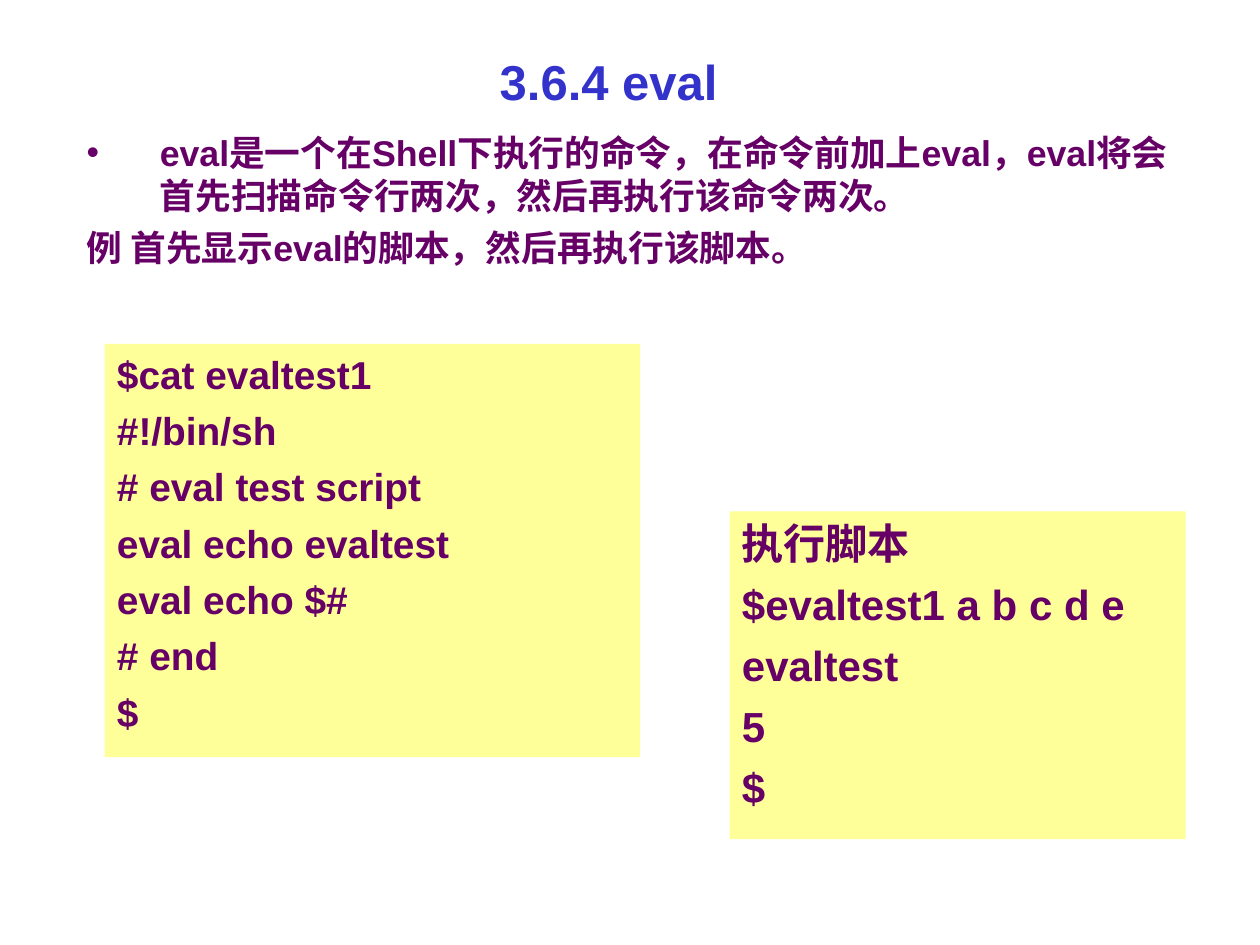
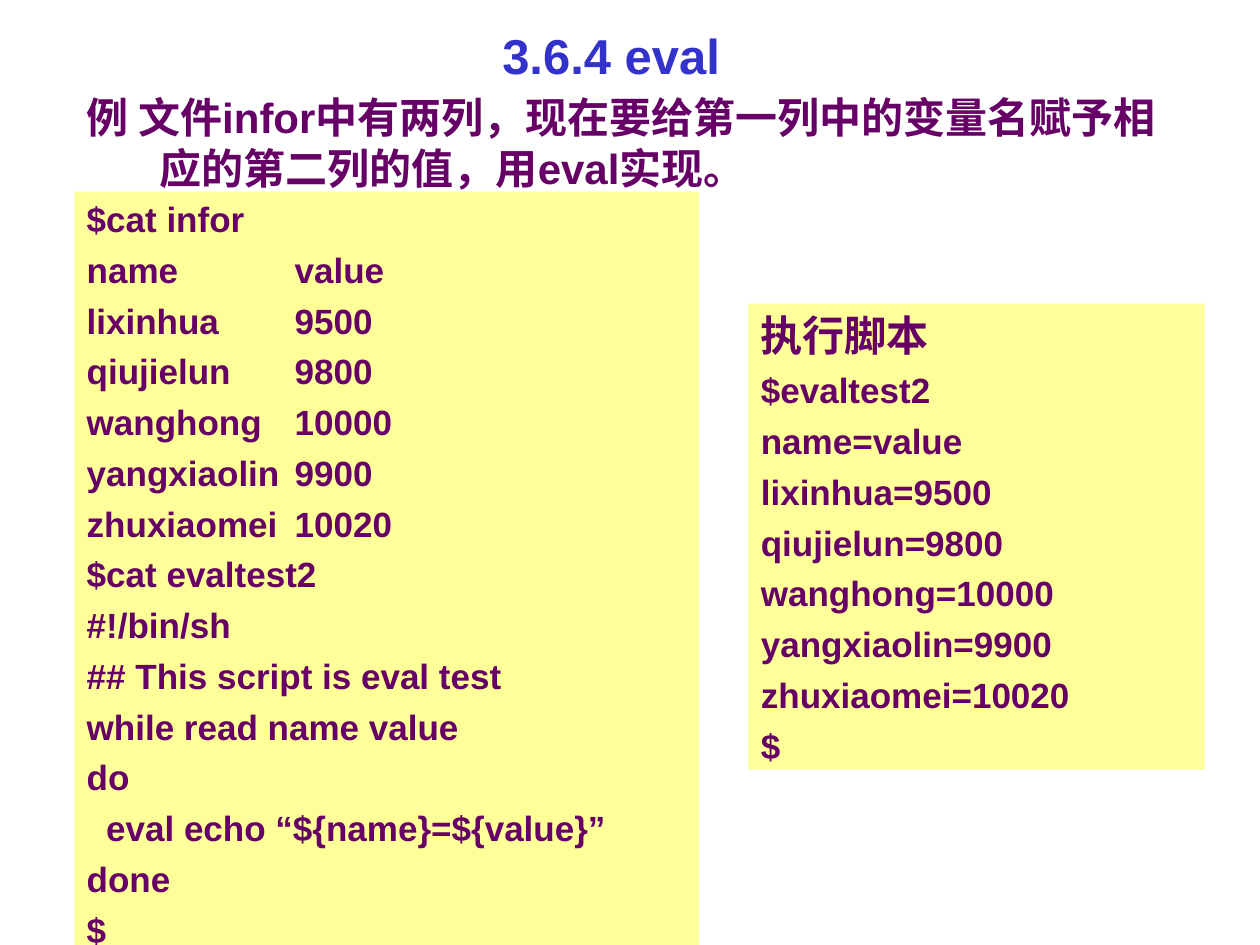
"""Build two slides on the shell command eval."""
from lxml.etree import SubElement
from pptx import Presentation
from pptx.dml.color import RGBColor
from pptx.enum.shapes import MSO_SHAPE
from pptx.enum.text import MSO_ANCHOR, MSO_AUTO_SIZE, PP_ALIGN
from pptx.oxml.ns import qn
from pptx.util import Inches, Pt

TITLE_BLUE = RGBColor(0x33, 0x33, 0xCC)
TEXT_PURPLE = RGBColor(0x66, 0x00, 0x66)
CODE_YELLOW = RGBColor(0xFF, 0xFF, 0x99)
FONT = "Arial"
TITLE = "3.6.4 eval"
TITLE_SIZE = 28
TITLE_WIDTH, TITLE_HEIGHT = 9, 0.87
HANGING_INDENT = 0.58
VALUE_COLUMN = 1.65
SPACE_SHARE = 0.25
RESULT_HEADING = "执行脚本"
HEADING_SIZE = 24

SALARIES = [
    ("name", "value"),
    ("lixinhua", "9500"),
    ("qiujielun", "9800"),
    ("wanghong", "10000"),
    ("yangxiaolin", "9900"),
    ("zhuxiaomei", "10020"),
]

SLIDES = [
    {
        "title_at": (0.33, 0.21),
        "body_at": (0.59, 0.99, 9, 1.58),
        "body_size": 20.4,
        "body": [
            ("•", "eval是一个在Shell下执行的命令，在命令前加上eval，eval将会首先扫描命令行两次，然后再执行该命令两次。"),
            ("", "例 首先显示eval的脚本，然后再执行该脚本。"),
        ],
        "code_boxes": [
            ((0.83, 2.73, 4.25, 3.28), 22.2, "", [
                "$cat evaltest1",
                "#!/bin/sh",
                "# eval test script",
                "eval echo evaltest",
                "eval echo $#",
                "# end",
                "$",
            ]),
            ((5.79, 4.06, 3.62, 2.6), 24, RESULT_HEADING, [
                "$evaltest1 a b c d e",
                "evaltest",
                "5",
                "$",
            ]),
        ],
    },
    {
        "title_at": (0.35, 0),
        "body_at": (0.59, 0.68, 9, 1.02),
        "body_size": 24,
        "body": [
            ("", "例 文件infor中有两列，现在要给第一列中的变量名赋予相应的第二列的值，用eval实现。"),
        ],
        "code_boxes": [
            ((0.59, 1.52, 4.96, 5.98), 20, "", [
                "$cat infor",
                *("\t".join(row) for row in SALARIES),
                "$cat evaltest2",
                "#!/bin/sh",
                "## This script is eval test",
                "while read name value",
                "do",
                "  eval echo “${name}=${value}”",
                "done",
                "$",
            ]),
            ((5.94, 2.41, 3.62, 3.7), 20, RESULT_HEADING, [
                "$evaltest2",
                *("=".join(row) for row in SALARIES),
                "$",
            ]),
        ],
    },
]


def style(paragraph, size, color):
    font = paragraph.font
    font.name, font.size, font.bold = FONT, Pt(size), True
    font.color.rgb = color


def add_title(slide, position):
    title = slide.shapes.title
    title.left, title.top = map(Inches, position)
    title.width, title.height = Inches(TITLE_WIDTH), Inches(TITLE_HEIGHT)
    frame = title.text_frame
    frame.text = TITLE
    frame.auto_size = MSO_AUTO_SIZE.NONE
    frame.vertical_anchor = MSO_ANCHOR.MIDDLE
    frame.paragraphs[0].alignment = PP_ALIGN.CENTER
    style(frame.paragraphs[0], TITLE_SIZE, TITLE_BLUE)


def hang(paragraph, bullet):
    properties = paragraph._p.get_or_add_pPr()
    properties.set("marL", str(Inches(HANGING_INDENT)))
    properties.set("indent", str(-Inches(HANGING_INDENT)))
    if bullet:
        SubElement(properties, qn("a:buFont"), typeface=FONT)
        SubElement(properties, qn("a:buChar"), char=bullet)


def add_value_tab(paragraph):
    tabs = SubElement(paragraph._p.get_or_add_pPr(), qn("a:tabLst"))
    SubElement(tabs, qn("a:tab"), pos=str(Inches(VALUE_COLUMN)), algn="l")


def add_line(frame, index, text, size, bullet=None):
    paragraph = frame.add_paragraph() if index else frame.paragraphs[0]
    paragraph.text = text
    paragraph.alignment = PP_ALIGN.LEFT
    paragraph.space_before = Pt(SPACE_SHARE * size if index else 0)
    if bullet is not None:
        hang(paragraph, bullet)
    if "\t" in text:
        add_value_tab(paragraph)
    style(paragraph, size, TEXT_PURPLE)


def add_body(slide, position, size, entries):
    frame = slide.shapes.add_textbox(*map(Inches, position)).text_frame
    frame.word_wrap = True
    for index, (bullet, text) in enumerate(entries):
        add_line(frame, index, text, size, bullet)


def add_code_box(slide, position, size, heading, code):
    box = slide.shapes.add_shape(MSO_SHAPE.RECTANGLE, *map(Inches, position))
    box.shadow.inherit = False
    box.fill.solid()
    box.fill.fore_color.rgb = CODE_YELLOW
    box.line.fill.background()
    box.text_frame.word_wrap = True
    box.text_frame.vertical_anchor = MSO_ANCHOR.TOP
    lines = [(heading, HEADING_SIZE)] if heading else []
    lines += [(line, size) for line in code]
    for index, (text, line_size) in enumerate(lines):
        add_line(box.text_frame, index, text, line_size)


def main():
    presentation = Presentation()
    presentation.slide_width, presentation.slide_height = Inches(10), Inches(7.5)
    title_only = presentation.slide_layouts[5]
    for content in SLIDES:
        slide = presentation.slides.add_slide(title_only)
        add_title(slide, content["title_at"])
        add_body(slide, content["body_at"], content["body_size"], content["body"])
        for code_box in content["code_boxes"]:
            add_code_box(slide, *code_box)
    presentation.save("out.pptx")


if __name__ == "__main__":
    main()
